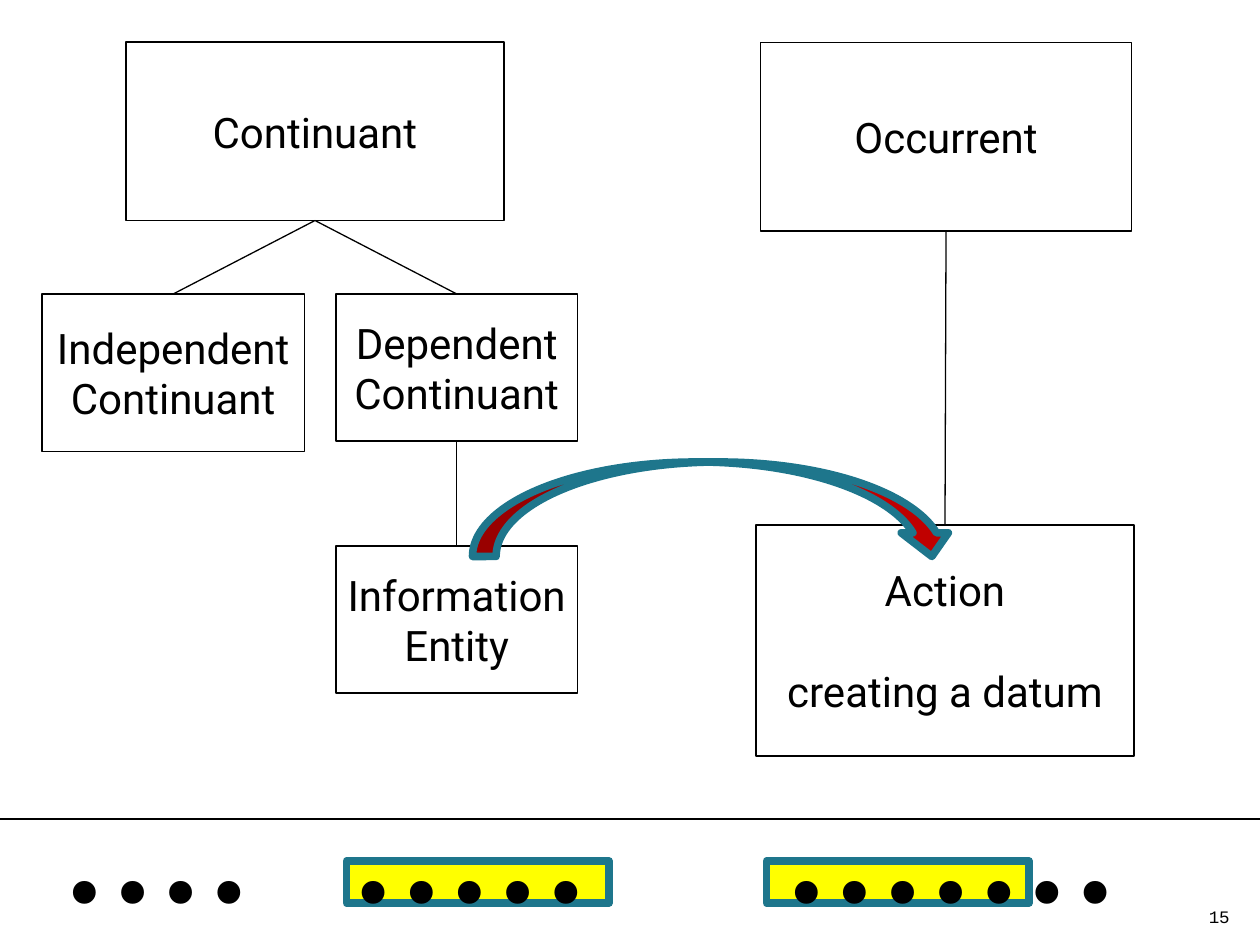
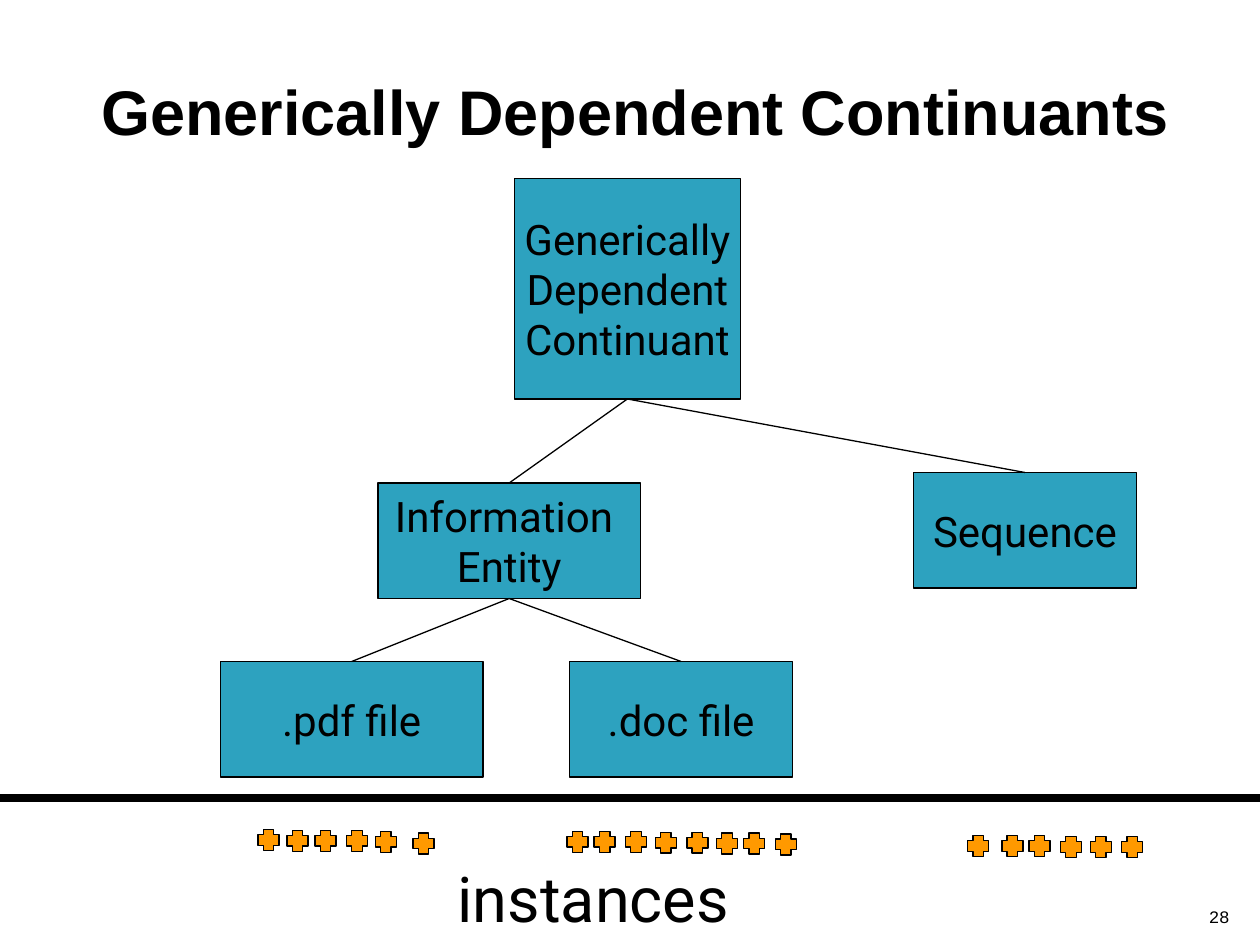
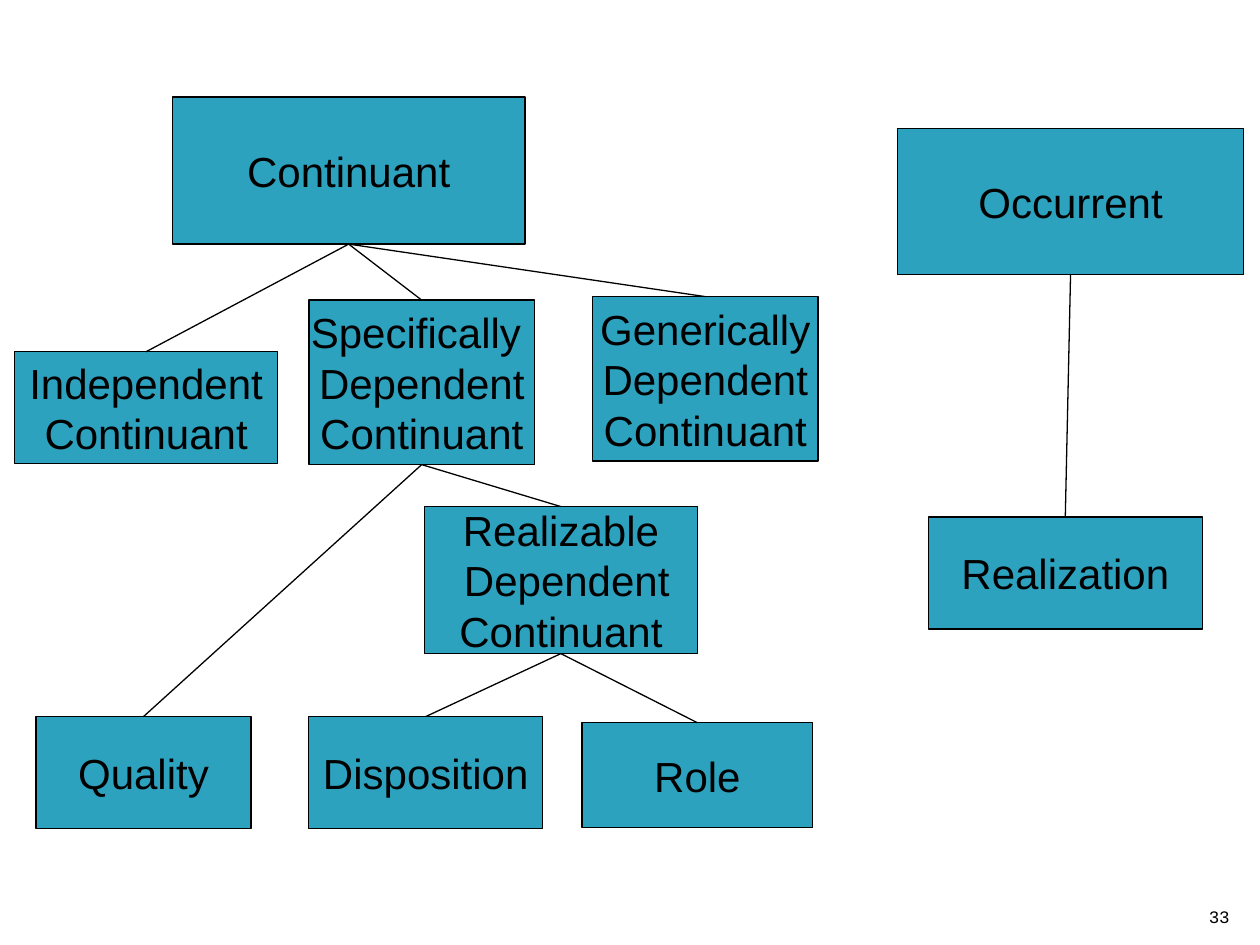
from dataclasses import dataclass
from typing import Any

from lxml.etree import SubElement
from pptx import Presentation
from pptx.dml.color import RGBColor
from pptx.enum.shapes import MSO_CONNECTOR, MSO_SHAPE
from pptx.enum.text import MSO_ANCHOR, MSO_AUTO_SIZE, PP_ALIGN
from pptx.oxml.ns import qn
from pptx.util import Pt

BLACK = "000000"
BLUE = "2DA2BF"
TEAL = "1E768C"
YELLOW = "FFFF00"
ORANGE = "FF9900"
RED = "C00000"
WIDE = 720
HIGH = 540


@dataclass(frozen=True)
class Area:
    left: float
    top: float
    wide: float
    high: float

    def spread(self) -> list[Pt]:
        return [Pt(n) for n in (self.left, self.top, self.wide, self.high)]


@dataclass(frozen=True)
class Node:
    key: str
    area: Area
    lines: tuple[str, ...]
    gap: float = 0


@dataclass(frozen=True)
class Style:
    font: str
    size: float
    align: Any = PP_ALIGN.CENTER
    anchor: Any = MSO_ANCHOR.MIDDLE
    bold: bool = False
    wrap: bool = False


LABEL = Style("Roboto", 24)
PLAIN = Style("Arial", 24)
TITLE = Style("Arial", 36, bold=True, wrap=True)
NOTE = Style("Roboto", 36)
PAGE = Style("Courier New", 10, PP_ALIGN.RIGHT, MSO_ANCHOR.BOTTOM, wrap=True)
DOTS = Style("Times New Roman", 110, PP_ALIGN.LEFT, MSO_ANCHOR.TOP, wrap=True)


def paint(code: str) -> RGBColor:
    return RGBColor.from_string(code)


def write(shape: Any, lines: tuple[str, ...], style: Style, gap: float = 0) -> None:
    frame = shape.text_frame
    frame.auto_size = MSO_AUTO_SIZE.NONE
    frame.word_wrap = style.wrap
    frame.vertical_anchor = style.anchor
    for i, line in enumerate(lines):
        para = frame.add_paragraph() if i else frame.paragraphs[0]
        para.alignment = style.align
        if i and gap:
            para.space_before = Pt(gap)
        run = para.add_run()
        run.text = line
        run.font.name = style.font
        run.font.size = Pt(style.size)
        run.font.bold = style.bold
        run.font.color.rgb = paint(BLACK)


def form(shapes: Any, kind: Any, area: Area, fill: str = "",
         edge: str = BLACK, weight: float = 0.75) -> Any:
    shape = shapes.add_shape(kind, *area.spread())
    shape.shadow.inherit = False
    if fill:
        shape.fill.solid()
        shape.fill.fore_color.rgb = paint(fill)
    else:
        shape.fill.background()
    shape.line.color.rgb = paint(edge)
    shape.line.width = Pt(weight)
    return shape


def label(slide: Any, area: Area, text: str, style: Style) -> Any:
    box = slide.shapes.add_textbox(*area.spread())
    write(box, (text,), style)
    return box


def stroke(slide: Any, weight: float = 0.75, height: float = 0) -> Any:
    line = slide.shapes.add_connector(
        MSO_CONNECTOR.STRAIGHT, Pt(0), Pt(height), Pt(WIDE), Pt(height))
    line.line.color.rgb = paint(BLACK)
    line.line.width = Pt(weight)
    SubElement(line._element.spPr, qn("a:effectLst"))
    return line


def tree(slide: Any, nodes: list[Node], links: list[tuple[str, str]],
         style: Style, fill: str = "") -> None:
    boxes = {}
    for node in nodes:
        box = form(slide.shapes, MSO_SHAPE.RECTANGLE, node.area, fill)
        write(box, node.lines, style, node.gap)
        boxes[node.key] = box
    for parent, child in links:
        line = stroke(slide)
        line.begin_connect(boxes[parent], 2)
        line.end_connect(boxes[child], 0)


def start(deck: Any, layout: int, page: str) -> Any:
    slide = deck.slides.add_slide(deck.slide_layouts[layout])
    label(slide, Area(681, 504.7, 28.8, 28.8), page, PAGE)
    return slide


def action(deck: Any) -> None:
    slide = start(deck, 6, "15")
    for left in (438, 198):
        form(slide.shapes, MSO_SHAPE.RECTANGLE, Area(left, 492, 150, 24),
             YELLOW, TEAL, 4.34)
    tree(slide, [
        Node("whole", Area(72, 24, 216, 102), ("Continuant",)),
        Node("event", Area(434.6, 24.5, 212, 107.5), ("Occurrent",)),
        Node("free", Area(24, 168, 150, 90), ("Independent", "Continuant")),
        Node("bound", Area(192, 168, 138, 84), ("Dependent", "Continuant")),
        Node("info", Area(192, 312, 138, 84), ("Information", "Entity")),
        Node("act", Area(432, 300, 216, 132), ("Action", "creating a datum"), 28.8),
    ], [("whole", "free"), ("whole", "bound"), ("bound", "info"),
        ("event", "act")], LABEL)
    stroke(slide, height=468)
    row = label(slide, Area(0, 451.5, WIDE, 80), "\t....\t.....\t.......", DOTS)
    para = row.text_frame.paragraphs[0]
    tabs = SubElement(para._p.get_or_add_pPr(), qn("a:tabLst"))
    for stop in (27.5, 192.5, 440):
        SubElement(tabs, qn("a:tab"), pos=str(Pt(stop)), algn="l")
    para.line_spacing = Pt(82)
    form(slide.shapes, MSO_SHAPE.CURVED_DOWN_ARROW, Area(270, 264, 276, 54),
         RED, TEAL, 4.34)


def generic(deck: Any) -> None:
    slide = start(deck, 5, "28")
    title = slide.shapes.title
    title.left, title.top, title.width, title.height = Area(30, 18, 666, 90).spread()
    write(title, ("Generically Dependent Continuants",), TITLE)
    tree(slide, [
        Node("root", Area(294, 102, 129, 126),
             ("Generically", "Dependent", "Continuant")),
        Node("info", Area(216, 276, 150, 66), ("Information ", "Entity")),
        Node("chain", Area(522, 270, 127.5, 66), ("Sequence",)),
        Node("pdf", Area(126, 378, 150, 66), (".pdf file",)),
        Node("doc", Area(325.5, 378, 127.5, 66), (".doc file",)),
    ], [("root", "info"), ("root", "chain"), ("info", "pdf"),
        ("info", "doc")], LABEL, BLUE)
    stroke(slide, 4.5, 456)
    rows = [
        [(147.5, 474), (164, 474.5), (180, 474.5), (198, 474.5),
         (214.5, 475), (236, 476)],
        [(324, 475), (339.5, 475), (357.5, 475), (374.5, 475.5),
         (392.5, 475.5), (409.5, 476), (425, 476), (443, 476.5)],
        [(553, 477.5), (572.5, 477.5), (588, 477.5), (606, 478),
         (623, 478), (641, 478)],
    ]
    for row in rows:
        group = slide.shapes.add_group_shape()
        for left, top in row:
            form(group.shapes, MSO_SHAPE.CROSS, Area(left, top, 12, 12), ORANGE)
    label(slide, Area(90, 486, 498, 54), "instances", NOTE)


def realize(deck: Any) -> None:
    slide = start(deck, 6, "33")
    tree(slide, [
        Node("whole", Area(98.5, 55.5, 201.5, 84), ("Continuant",)),
        Node("event", Area(513, 73.5, 197.5, 83.5), ("Occurrent",)),
        Node("free", Area(8.5, 201, 150, 64), ("Independent", "Continuant")),
        Node("spec", Area(176.5, 171.5, 129, 94),
             ("Specifically ", "Dependent", "Continuant")),
        Node("trait", Area(20.5, 409.5, 123, 64), ("Quality",)),
        Node("trend", Area(176.5, 409.5, 133.5, 64), ("Disposition",)),
        Node("deed", Area(530.5, 295.5, 156.5, 64), ("Realization",)),
        Node("role", Area(332.5, 413, 132, 60), ("Role",)),
        Node("able", Area(242.5, 289.5, 156, 84),
             ("Realizable", " Dependent", "Continuant")),
        Node("gen", Area(338.5, 169.5, 129, 94),
             ("Generically", "Dependent", "Continuant")),
    ], [("whole", "free"), ("whole", "spec"), ("whole", "gen"),
        ("event", "deed"), ("spec", "trait"), ("spec", "able"),
        ("able", "trend"), ("able", "role")], PLAIN, BLUE)


def main() -> None:
    deck = Presentation()
    deck.slide_width, deck.slide_height = Pt(WIDE), Pt(HIGH)
    for build in (action, generic, realize):
        build(deck)
    deck.save("out.pptx")


if __name__ == "__main__":
    main()
